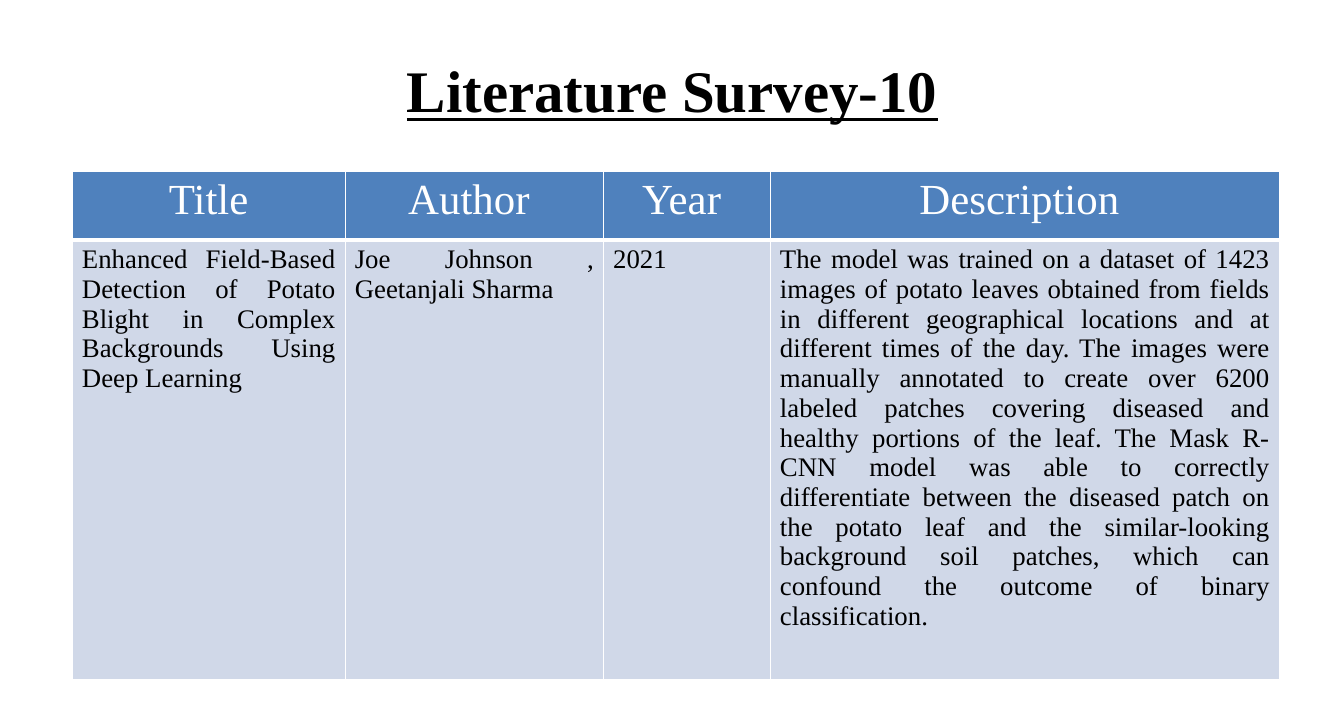
import pptx
import pptx.util
import pptx.dml.color
import pptx.enum.text
import pptx.oxml.ns
import lxml.etree

Inches = pptx.util.Inches
Pt = pptx.util.Pt
ALIGN = pptx.enum.text.PP_ALIGN

COLORS = {
    "heading": "000000",
    "header_fill": "4F81BD",
    "header_text": "FFFFFF",
    "body_fill": "D0D8E8",
    "body_text": "000000",
    "border": "FFFFFF",
}


def write(frame, text, size, color, align, bold=False, underline=False):
    paragraph = frame.paragraphs[0]
    paragraph.alignment = align
    run = paragraph.add_run()
    run.text = text
    run.font.name = "Times New Roman"
    run.font.size = Pt(size)
    run.font.bold = bold
    run.font.underline = underline
    run.font.color.rgb = pptx.dml.color.RGBColor.from_string(COLORS[color])


def add_borders(cell, widths):
    properties = cell._tc.get_or_add_tcPr()
    qn = pptx.oxml.ns.qn
    for side, width in zip("LRTB", widths):
        line = lxml.etree.SubElement(properties, qn(f"a:ln{side}"), w=str(Pt(width)))
        fill = lxml.etree.SubElement(line, qn("a:solidFill"))
        lxml.etree.SubElement(fill, qn("a:srgbClr"), val=COLORS["border"])


deck = pptx.Presentation()
deck.slide_width = Inches(13.94)
deck.slide_height = Inches(7.5)
slide = deck.slides.add_slide(deck.slide_layouts[6])

# Heading
heading = slide.shapes.add_textbox(Inches(0.7), Inches(0.3), Inches(12.55), Inches(1.25)).text_frame
heading.word_wrap = True
heading.vertical_anchor = pptx.enum.text.MSO_ANCHOR.MIDDLE
write(heading, "Literature Survey-10", size=44, color="heading",
      align=ALIGN.CENTER, bold=True, underline=True)

# Survey content: column width, header, entry
columns = [
    (2.83, "Title", "Enhanced Field-Based Detection of Potato Blight in Complex "
                    "Backgrounds Using Deep Learning"),
    (2.68, "Author ", "Joe Johnson , Geetanjali Sharma"),
    (1.73, "Year ", "2021"),
    (5.28, "Description ",
     "The model was trained on a dataset of 1423 images of potato leaves obtained "
     "from fields in different geographical locations and at different times of the "
     "day. The images were manually annotated to create over 6200 labeled patches "
     "covering diseased and healthy portions of the leaf. The Mask R-CNN model was "
     "able to correctly differentiate between the diseased patch on the potato leaf "
     "and the similar-looking background soil patches, which can confound the outcome "
     "of binary classification."),
]

# Row formats: height, text size, alignment, colour group, border widths (L, R, T, B)
rows = [
    (0.71, 32, ALIGN.CENTER, "header", (1, 1, 1, 3)),
    (4.56, 20, ALIGN.JUSTIFY, "body", (1, 1, 1, 1)),
]

# Survey table
survey = slide.shapes.add_table(len(rows), len(columns), Inches(0.75), Inches(1.78),
                                Inches(12.52), Inches(5.27)).table
for column, (width, *texts) in enumerate(columns):
    survey.columns[column].width = Inches(width)
    for row, (height, size, align, group, borders) in enumerate(rows):
        survey.rows[row].height = Inches(height)
        cell = survey.cell(row, column)
        add_borders(cell, borders)
        cell.fill.solid()
        cell.fill.fore_color.rgb = pptx.dml.color.RGBColor.from_string(COLORS[f"{group}_fill"])
        write(cell.text_frame, texts[row], size=size, color=f"{group}_text", align=align)

deck.save("out.pptx")
